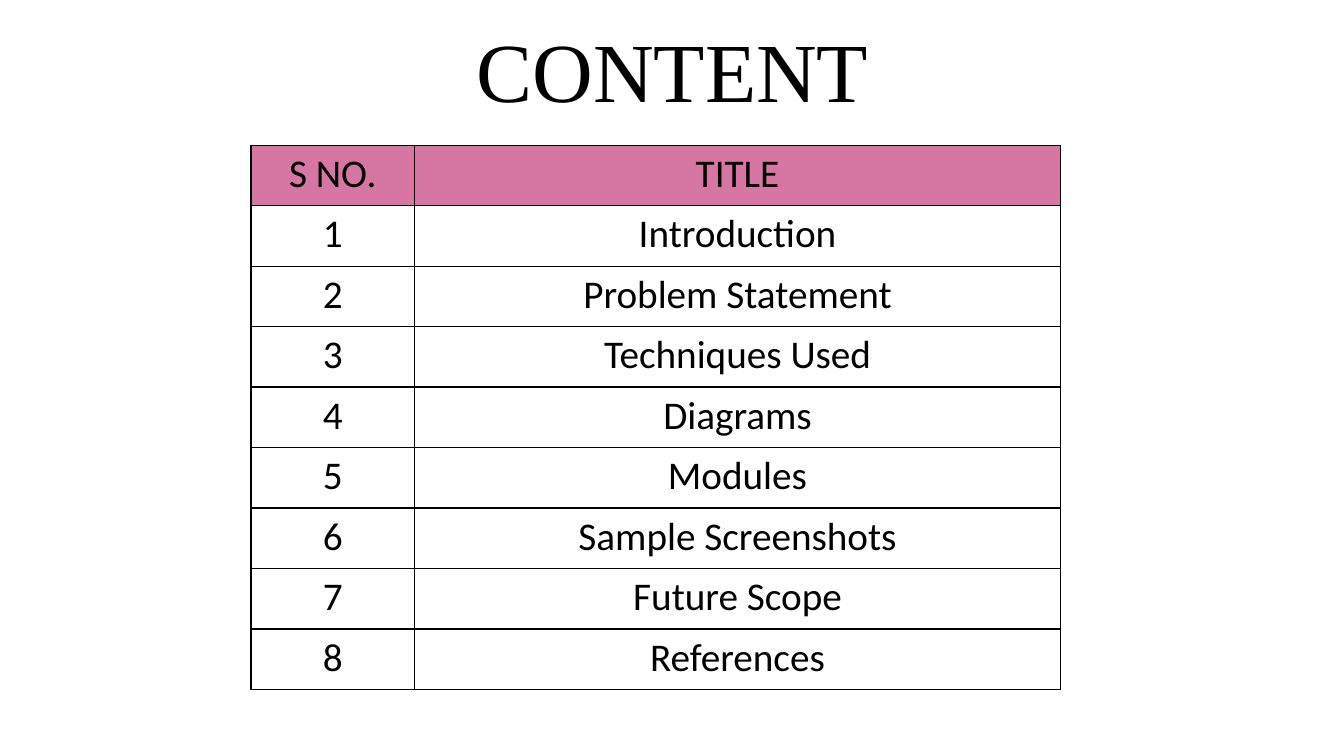
"""Build a contents slide with a numbered table of section titles."""
from lxml import etree
from pptx import Presentation
from pptx.dml.color import RGBColor
from pptx.enum.text import MSO_ANCHOR, PP_ALIGN
from pptx.oxml.ns import qn
from pptx.util import Inches, Pt

CENTER = PP_ALIGN.CENTER
MIDDLE = MSO_ANCHOR.MIDDLE
BLACK = RGBColor(0x00, 0x00, 0x00)
PINK = RGBColor(0xD6, 0x76, 0xA3)
SECTIONS = ["Introduction", "Problem Statement", "Techniques Used", "Diagrams",
            "Modules", "Sample Screenshots", "Future Scope", "References"]
COLUMN_WIDTHS = [1.62, 6.41]
ROW_HEIGHT = 0.6


def add_centered_run(paragraph, text, font_name, size):
    paragraph.alignment = CENTER
    run = paragraph.add_run()
    run.text = text
    run.font.name = font_name
    run.font.size = Pt(size)
    run.font.bold = False
    run.font.color.rgb = BLACK


def add_borders(cell):
    properties = cell._tc.get_or_add_tcPr()
    for side in ("lnL", "lnR", "lnT", "lnB"):
        border = etree.SubElement(properties, qn(f"a:{side}"), w=str(Pt(1)))
        fill = etree.SubElement(border, qn("a:solidFill"))
        etree.SubElement(fill, qn("a:srgbClr"), val=str(BLACK))


prs = Presentation()
prs.slide_width = Inches(13.33)
prs.slide_height = Inches(7.5)
slide = prs.slides.add_slide(prs.slide_layouts[6])

heading = slide.shapes.add_textbox(Inches(0.92), Inches(0.02), Inches(11.5), Inches(1.45))
heading.text_frame.word_wrap = True
heading.text_frame.vertical_anchor = MIDDLE
heading_line = heading.text_frame.paragraphs[0]
heading_line.line_spacing = 0.9
add_centered_run(heading_line, "CONTENT", "Times New Roman", 60)

rows = [("S NO.", "TITLE")]
rows += [(str(number), section) for number, section in enumerate(SECTIONS, 1)]
contents = slide.shapes.add_table(
    len(rows), len(COLUMN_WIDTHS), Inches(2.49), Inches(1.44),
    Inches(sum(COLUMN_WIDTHS)), Inches(ROW_HEIGHT * len(rows))).table
contents.first_row = False
contents.horz_banding = False
for column, width in zip(contents.columns, COLUMN_WIDTHS):
    column.width = Inches(width)

for row_index, row in enumerate(rows):
    contents.rows[row_index].height = Inches(ROW_HEIGHT)
    for column_index, text in enumerate(row):
        cell = contents.cell(row_index, column_index)
        add_centered_run(cell.text_frame.paragraphs[0], text, "Calibri", 28)
        add_borders(cell)
        if row_index == 0:
            cell.fill.solid()
            cell.fill.fore_color.rgb = PINK
        else:
            cell.fill.background()

prs.save("out.pptx")
